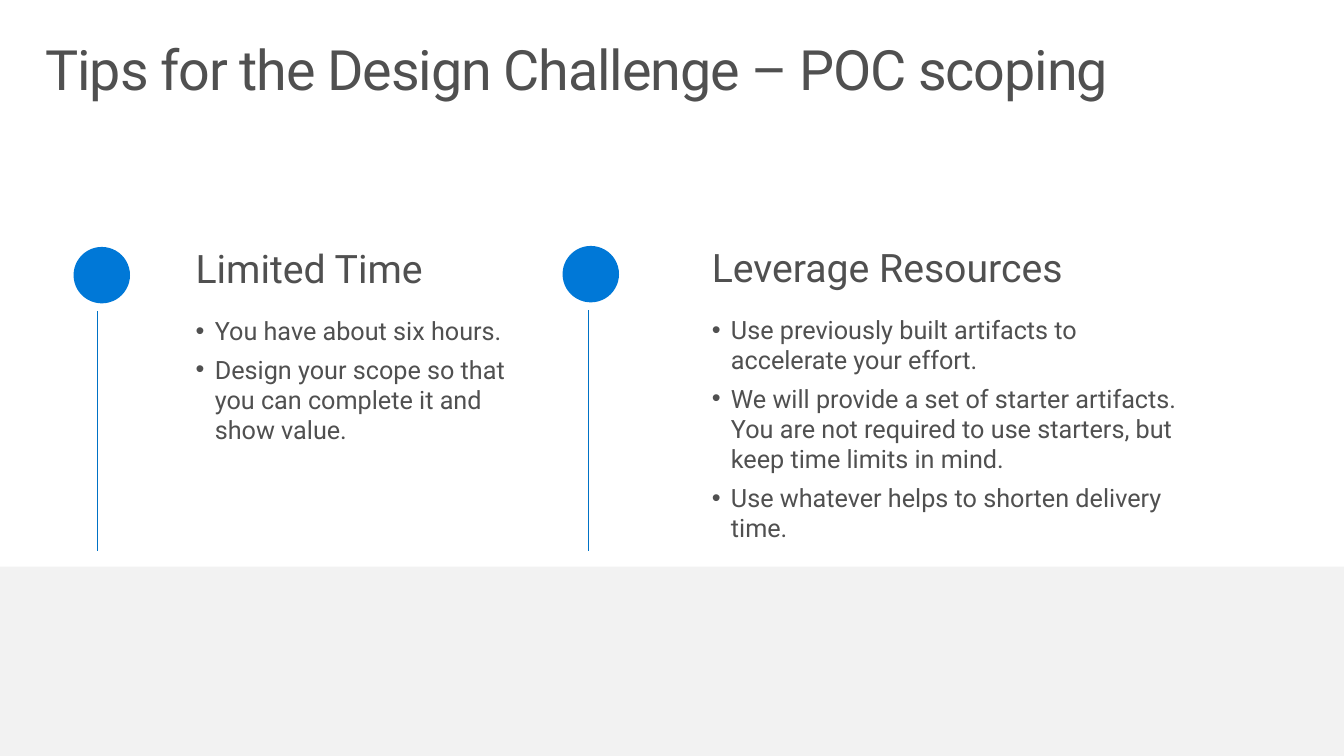
from dataclasses import dataclass

from lxml import etree
from pptx import Presentation
from pptx.dml.color import RGBColor
from pptx.enum import shapes, text
from pptx.oxml.ns import qn
from pptx.util import Inches, Pt


@dataclass(frozen=True)
class Theme:
    """Colours, font and type sizes of the slide."""
    font: str = "Roboto"
    ink: RGBColor = RGBColor(0x50, 0x50, 0x50)
    dot: RGBColor = RGBColor(0x00, 0x78, 0xD7)
    rule: RGBColor = RGBColor(0x00, 0x72, 0xC6)
    band: RGBColor = RGBColor(0xF2, 0xF2, 0xF2)
    title: float = 39.7
    heading: float = 28
    body: float = 18


THEME = Theme()
TIPS = [
    ((0.73, 2.45, 4.52, 3.02), 1.01, 0.24, "Limited Time", [
        "You have about six hours.",
        "Design your scope so that you can complete it and show value.",
    ]),
    ((5.58, 2.44, 6.37, 3.03), 1.28, 0.26, "Leverage Resources", [
        "Use previously built artifacts to accelerate your effort.",
        "We will provide a set of starter artifacts. You are not required "
        "to use starters, but keep time limits in mind.",
        "Use whatever helps to shorten delivery time.",
    ]),
]


def place(placeholder, box, inset_x, inset_y):
    """Move a placeholder to a box, set its insets and return its text frame."""
    placeholder.left, placeholder.top, placeholder.width, placeholder.height = map(Inches, box)
    frame = placeholder.text_frame
    frame.margin_left = frame.margin_right = Inches(inset_x)
    frame.margin_top = frame.margin_bottom = Inches(inset_y)
    frame.vertical_anchor = text.MSO_ANCHOR.TOP
    frame.auto_size = text.MSO_AUTO_SIZE.NONE
    frame.word_wrap = True
    return frame


def style(paragraph, size, line_spacing, space_after=0):
    """Set spacing, alignment and font of a paragraph."""
    paragraph.alignment = text.PP_ALIGN.LEFT
    paragraph.line_spacing = line_spacing
    paragraph.space_before = Pt(0)
    paragraph.space_after = Pt(space_after)
    paragraph.font.name = THEME.font
    paragraph.font.size = Pt(size)
    paragraph.font.color.rgb = THEME.ink


def indent(paragraph, hanging):
    """Give a paragraph a hanging indent and return its properties."""
    properties = paragraph._p.get_or_add_pPr()
    properties.set("marL", str(Inches(hanging)))
    properties.set("indent", str(-Inches(hanging)))
    return properties


def fill_shape(slide, kind, box, color):
    """Add a plain filled shape without outline or shadow."""
    shape = slide.shapes.add_shape(kind, *map(Inches, box))
    shape.shadow.inherit = False
    shape.fill.solid()
    shape.fill.fore_color.rgb = color
    shape.line.fill.background()


def add_title(slide, box, words):
    """Write the slide title in its placeholder."""
    title = place(slide.shapes.title, box, 0.16, 0.1).paragraphs[0]
    run = title.add_run()
    run.text = words
    run._r.get_or_add_rPr().set("spc", "-80")
    style(title, THEME.title, 0.9)


def add_marker(slide, box, rule_offset):
    """Draw a dot at the top left of a box and a rule down to its bottom."""
    left, top, _, height = box
    diameter = 0.56
    fill_shape(slide, shapes.MSO_SHAPE.OVAL, (left, top, diameter, diameter), THEME.dot)
    x = Inches(left + rule_offset)
    rule = slide.shapes.add_connector(
        shapes.MSO_CONNECTOR.STRAIGHT, x, Inches(top + 0.64), x, Inches(top + height))
    rule.line.color.rgb = THEME.rule
    rule.line.width = Pt(0.75)
    etree.SubElement(rule._element.spPr, qn("a:effectLst"))


def add_tip(slide, body, box, text_offset, rule_offset, heading, points):
    """Fill a box with a marker, a heading and bulleted points."""
    left, top, width, height = box
    add_marker(slide, box, rule_offset)
    frame = place(body, (left + text_offset, top - 0.13, width - text_offset, height + 0.1),
                  0.2, 0.16)
    head = frame.paragraphs[0]
    head.text = heading
    etree.SubElement(indent(head, 0), qn("a:buNone"))
    style(head, THEME.heading, 0.9, 16.4)
    for words in points:
        point = frame.add_paragraph()
        point.text = words
        indent(point, 0.19)
        style(point, THEME.body, 1.0, 6)


def main():
    """Build and save the slide."""
    deck = Presentation()
    deck.slide_width, deck.slide_height = Inches(13.33), Inches(7.5)
    slide = deck.slides.add_slide(deck.slide_layouts[3])
    fill_shape(slide, shapes.MSO_SHAPE.RECTANGLE, (0, 5.62, 13.33, 1.88), THEME.band)
    add_title(slide, (0.29, 0.32, 12.75, 0.98), "Tips for the Design Challenge – POC scoping")
    for index, tip in enumerate(TIPS, start=1):
        add_tip(slide, slide.placeholders[index], *tip)
    deck.save("out.pptx")


if __name__ == "__main__":
    main()
